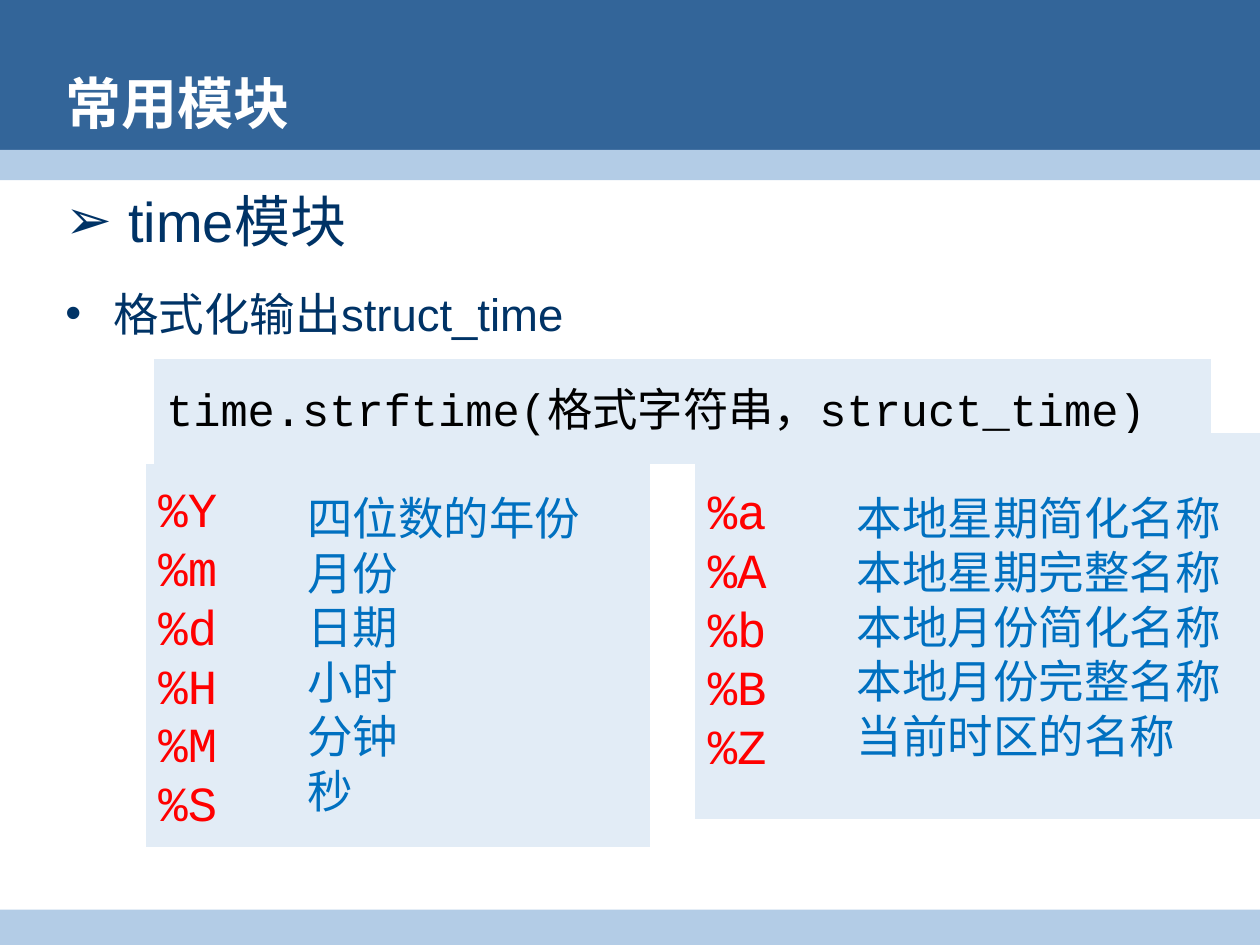
from pptx import Presentation
from pptx.dml.color import RGBColor
from pptx.enum.shapes import MSO_SHAPE
from pptx.enum.text import MSO_ANCHOR, PP_ALIGN
from pptx.util import Inches, Pt
from lxml import etree

RECT, PROCESS = MSO_SHAPE.RECTANGLE, MSO_SHAPE.FLOWCHART_PROCESS
MIDDLE, LEFT = MSO_ANCHOR.MIDDLE, PP_ALIGN.LEFT

THEME = {
    "band": "336599", "strip": "B3CCE6", "panel": "E2ECF6",
    "title": ("Arial", 32, "FFFFFF"),
    "topic": ("Arial", 32, "003366"),
    "point": ("Arial", 26, "003366"),
    "call": ("Courier New", 25.9, "000000"),
    "code": ("Courier New", 28, "FF0000"),
    "meaning": ("Courier New", 26, "0070C0"),
}

prs = Presentation()
prs.slide_width, prs.slide_height = Inches(10), Inches(7.5)
COL, ROW = prs.slide_width / 100, prs.slide_height / 75  # 100 x 75 grid
s = prs.slides.add_slide(prs.slide_layouts[5])


def write(p, text, style):
    name, size, color = THEME[style]
    p.alignment = LEFT
    r = p.add_run()
    r.text = text
    r.font.name, r.font.size = name, Pt(size)
    r.font.color.rgb = RGBColor.from_string(color)
    return r


def box(col, row, cols, rows, fill, lines=(), style=None, kind=PROCESS):
    sp = s.shapes.add_shape(kind, int(col * COL), int(row * ROW),
                            int(cols * COL), int(rows * ROW))
    sp.shadow.inherit = False
    sp.fill.solid()
    sp.fill.fore_color.rgb = RGBColor.from_string(THEME[fill])
    sp.line.fill.background()
    tf = sp.text_frame
    tf.word_wrap, tf.vertical_anchor = True, MIDDLE
    for i, line in enumerate(lines):
        write(tf.add_paragraph() if i else tf.paragraphs[0], line, style)
    return tf


# Header and footer bands
for row, rows, fill in ((0, 13.1, "band"), (11.9, 2.4, "strip"), (72.2, 2.8, "strip")):
    box(0, row, 100, rows, fill, kind=RECT)

# Title, brought in front of the bands
title = s.shapes.title
title.left, title.top = int(4.2 * COL), int(5.2 * ROW)
title.width, title.height = int(90.6 * COL), int(5.8 * ROW)
title.text_frame.vertical_anchor = MIDDLE
write(title.text_frame.paragraphs[0], "常用模块", "title").font.bold = True
s.shapes._spTree.append(title._element)

# Topic and point, with bullets
tf = s.shapes.add_textbox(int(4.2 * COL), int(14.3 * ROW),
                          int(94.8 * COL), int(13 * ROW)).text_frame
tf.word_wrap = True
for i, (mark, text, style, indent) in enumerate((
        ("➢", "time模块", "topic", 5), ("•", "格式化输出struct_time", "point", 3.8))):
    p = tf.add_paragraph() if i else tf.paragraphs[0]
    pPr = p._p.get_or_add_pPr()
    pPr.set("marL", str(int(indent * COL)))
    pPr.set("indent", str(-int(indent * COL)))
    ns = pPr.nsmap["a"]
    etree.SubElement(pPr, f"{{{ns}}}buFont", typeface="Arial")
    etree.SubElement(pPr, f"{{{ns}}}buChar", char=mark)
    p.space_before, p.space_after = Pt(6.5 * i), Pt(12)
    write(p, text, style)

# Format codes, the call, and what each code means
box(11.6, 36.8, 23.6, 30.4, "panel", ("%Y", "%m", "%d", "%H", "%M", "%S"), "code")
call = box(12.2, 28.5, 83.9, 8.3, "panel",
           ("time.strftime(格式字符串，struct_time)",), "call")
call.paragraphs[0].line_spacing = 0.9
box(23.4, 36.6, 28.2, 30.6, "panel",
    ("四位数的年份", "月份", "日期", "小时", "分钟", "秒"), "meaning")
box(55.2, 34.6, 23.6, 30.4, "panel", ("%a", "%A", "%b", "%B", "%Z"), "code")
box(67, 34.4, 35.6, 30.6, "panel",
    ("本地星期简化名称", "本地星期完整名称", "本地月份简化名称",
     "本地月份完整名称", "当前时区的名称"), "meaning")

prs.save("out.pptx")
